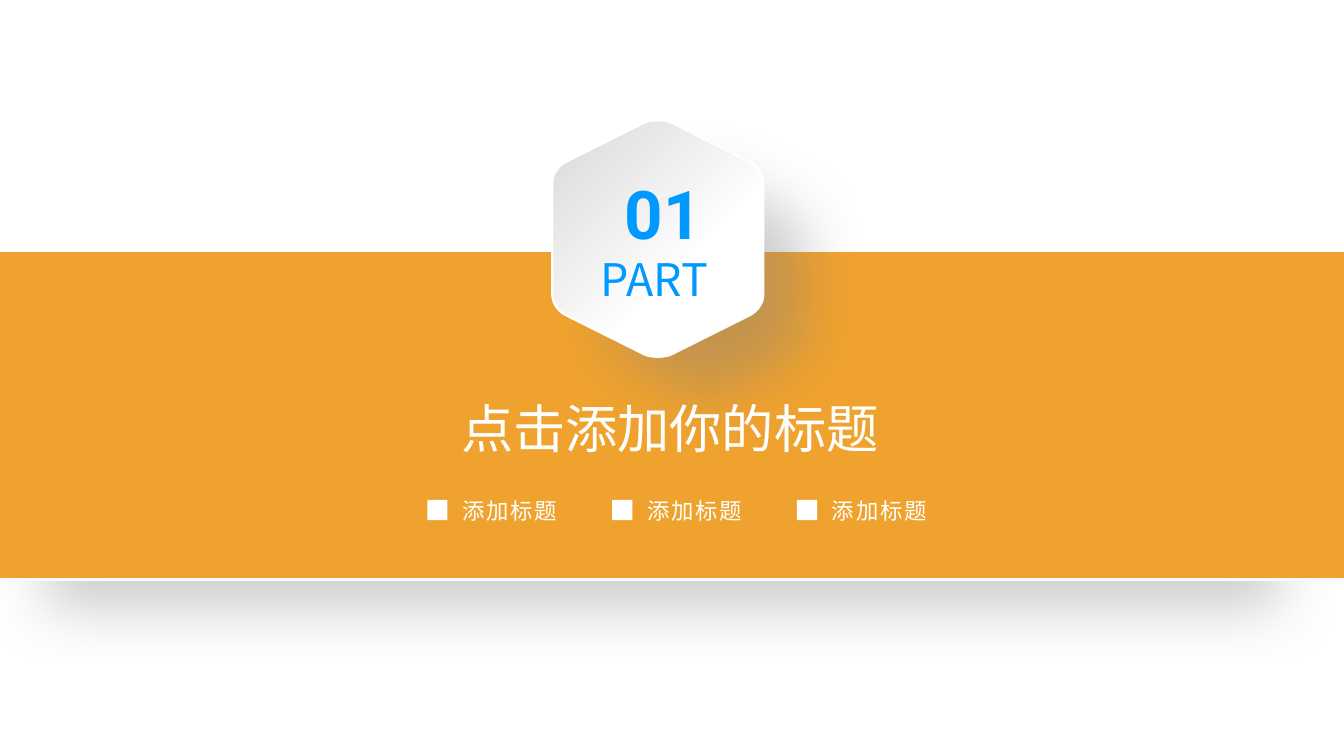
import copy
import pptx
import pptx.util
import pptx.dml.color
import pptx.enum.shapes
import pptx.enum.text
import pptx.oxml.ns
from lxml import etree

Inches = pptx.util.Inches
Pt = pptx.util.Pt
qn = pptx.oxml.ns.qn

COLORS = {"white": "FFFFFF", "orange": "F0A22E", "blue": "0099FF",
          "silver": "D9D9D9", "gray": "808080"}
CJK = "Noto Sans CJK SC"


def color(name):
    return pptx.dml.color.RGBColor.from_string(COLORS[name])


def shade(shape, name, blur, dist, scale=100):
    shape.shadow.inherit = False
    effect = shape._element.spPr.find(qn("a:effectLst"))
    outer = etree.SubElement(
        effect, qn("a:outerShdw"), blurRad=str(Pt(blur)), dist=str(Pt(dist)),
        dir=str(45 * 60000), sx=str(scale * 1000), sy=str(scale * 1000),
        algn="tl", rotWithShape="0")
    tint = etree.SubElement(outer, qn("a:srgbClr"), val=COLORS[name])
    etree.SubElement(tint, qn("a:alpha"), val="40000")


def outline(shape, width):
    shape.line.color.rgb = color("white")
    shape.line.width = Pt(width)


def block(slide, x, y, w, h, fill):
    shape = slide.shapes.add_shape(
        pptx.enum.shapes.MSO_SHAPE.RECTANGLE,
        Inches(x), Inches(y), Inches(w), Inches(h))
    shape.fill.solid()
    shape.fill.fore_color.rgb = color(fill)
    shape.line.fill.background()
    return shape


def style(box, text, size, tint, face=CJK, bold=False):
    frame = box.text_frame
    frame.word_wrap = True
    frame.auto_size = pptx.enum.text.MSO_AUTO_SIZE.NONE
    frame.vertical_anchor = pptx.enum.text.MSO_ANCHOR.TOP
    frame.text = text
    para = frame.paragraphs[0]
    para.alignment = pptx.enum.text.PP_ALIGN.LEFT
    para.font.size = Pt(size)
    para.font.bold = bold
    para.font.name = face
    para.font.color.rgb = color(tint)
    for run in para.runs:
        props = run._r.get_or_add_rPr()
        etree.SubElement(props, qn("a:ea"), typeface=face)
    return para


def label(slide, x, y, w, h, *look):
    box = slide.shapes.add_textbox(Inches(x), Inches(y), Inches(w), Inches(h))
    return style(box, *look)


def curve(arc, steps=8):
    for i in range(steps + 1):
        t = i / steps
        mix = ((1 - t) ** 3, 3 * t * (1 - t) ** 2, 3 * t * t * (1 - t), t ** 3)
        yield tuple(sum(m * p[k] for m, p in zip(mix, arc)) for k in (0, 1))


def hexagon(slide, x, y, w, h):
    top = [(0.69, 0.02), (0.74, 0), (0.83, 0), (0.88, 0.02)]
    side = [(1.48, 0.32), (1.53, 0.35), (1.57, 0.41), (1.57, 0.47)]
    low = [(a, h - b) for a, b in reversed(side)]
    half = [top, side, low]
    arcs = half + [[(w - a, h - b) for a, b in arc] for arc in half]
    dots = [(Inches(x + a), Inches(y + b)) for arc in arcs for a, b in curve(arc)]
    pen = slide.shapes.build_freeform(*dots[0])
    pen.add_line_segments(dots[1:], close=True)
    return pen.convert_to_shape()


def badge(slide, x, y, w, h):
    shape = hexagon(slide, x, y, w, h)
    shape.fill.gradient()
    shape.fill.gradient_angle = 135
    stops = shape._element.spPr.find(".//" + qn("a:gsLst"))
    stops.append(copy.deepcopy(stops[-1]))
    marks = ((0, "white"), (0.36, "white"), (1, "silver"))
    for stop, (place, tint) in zip(shape.fill.gradient_stops, marks):
        stop.position = place
        stop.color.rgb = color(tint)
    outline(shape, 1.25)
    shade(shape, "gray", 33, 45, 90)
    label(slide, x + 0.44, y + 0.34, 0.81, 0.71, "01", 36, "blue", "Roboto", True)
    part = label(slide, x + 0.26, y + 0.82, 1.38, 0.64, "PART", 24, "blue")
    space = part.add_run()
    space.text = " "
    space.font.size = Pt(32)


def band(slide, x, y, w, h):
    shape = block(slide, x, y, w, h, "orange")
    outline(shape, 1.75)
    shade(shape, "gray", 33, 45, 90)


def heading(slide, x, y, w, h):
    title = slide.shapes.title
    title.left, title.top = Inches(x), Inches(y)
    title.width, title.height = Inches(w), Inches(h)
    style(title, "点击添加你的标题", 28, "white")
    title.text_frame.margin_left = title.text_frame.margin_right = Inches(0.09)
    slide.shapes._spTree.append(title._element)


def item(slide, x, y, w, h):
    para = label(slide, x + 0.11, y, w, h, " 添加标题", 12, "white")
    para.runs[0]._r.get_or_add_rPr().set("spc", "100")
    shade(block(slide, x, y + 0.07, 0.15, 0.15, "white"), "orange", 4, 3)


def main():
    deck = pptx.Presentation()
    deck.slide_width = Inches(10)
    deck.slide_height = deck.slide_width * 9 // 16
    slide = deck.slides.add_slide(deck.slide_layouts[5])
    band(slide, -0.09, 1.86, 10.17, 2.45)
    badge(slide, 4.11, 0.89, 1.57, 1.77)
    heading(slide, 3.34, 2.9, 3.35, 0.56)
    for i in range(3):
        item(slide, 3.18 + 1.375 * i, 3.65, 1.09, 0.29)
    deck.save("out.pptx")


if __name__ == "__main__":
    main()
